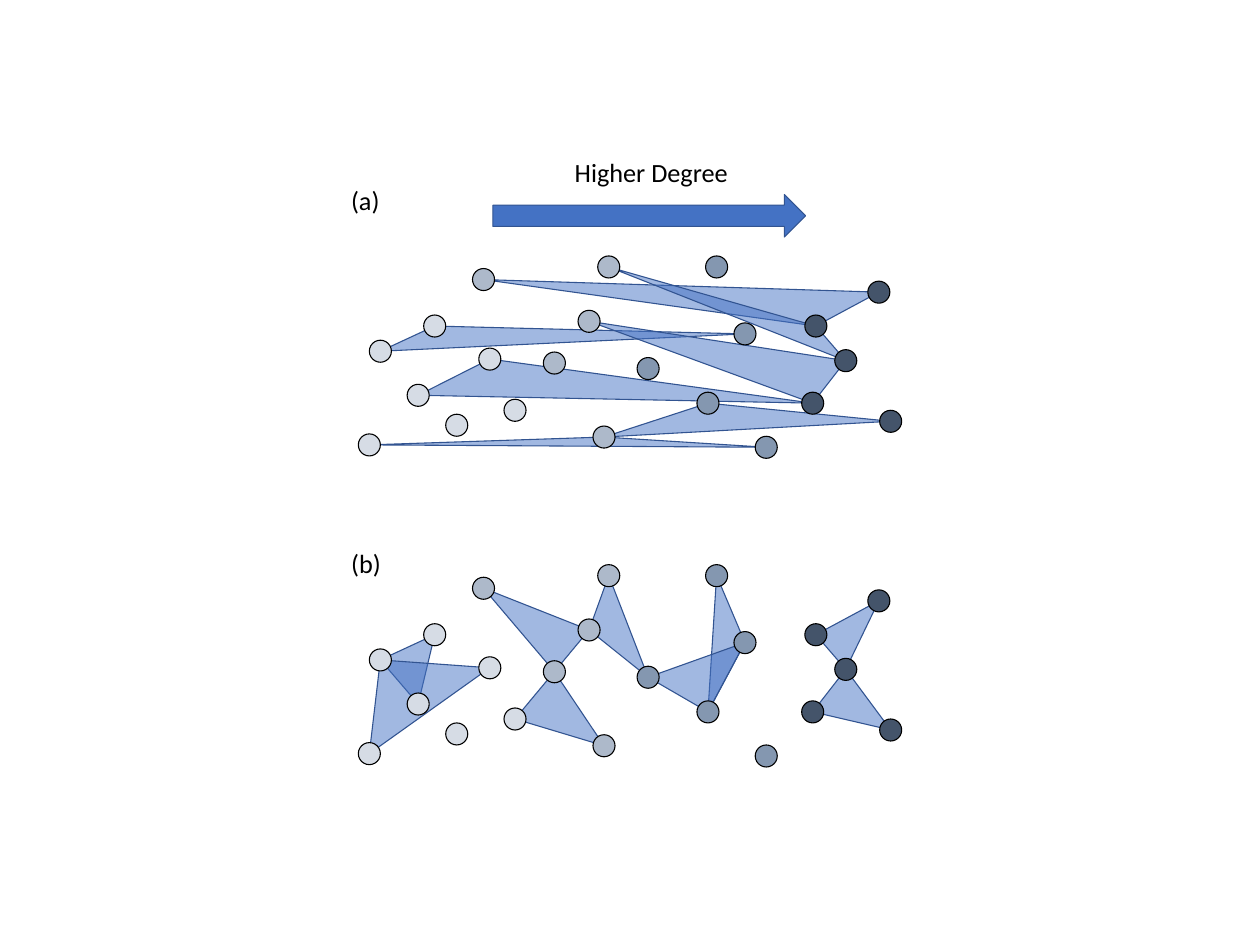
import pptx
import pptx.util
import pptx.dml.color
import pptx.enum.shapes
import pptx.enum.text
import lxml.etree
from dataclasses import dataclass

Inches = pptx.util.Inches
Shape = pptx.enum.shapes.MSO_SHAPE


@dataclass(frozen=True)
class Theme:
    blue: str = "4472C4"
    edge: str = "325491"
    black: str = "000000"
    pale: str = "D6DCE5"
    light: str = "ADB9CA"
    steel: str = "8497B0"
    dark: str = "44546A"
    font: str = "Calibri"
    size: int = 24
    line: int = 1
    alpha: int = 50


THEME = Theme()
NODE_SIZE = 0.28
PANEL_GAP = 3.92

NODES = {
    "A": (7.73, 3.39, THEME.light),
    "B": (6.14, 3.55, THEME.light),
    "C": (5.52, 4.14, THEME.pale),
    "D": (6.22, 4.56, THEME.pale),
    "E": (5.31, 5.02, THEME.pale),
    "F": (7.48, 4.08, THEME.light),
    "G": (5.8, 5.4, THEME.pale),
    "H": (4.69, 5.65, THEME.pale),
    "I": (7.04, 4.61, THEME.light),
    "J": (6.54, 5.21, THEME.pale),
    "K": (4.83, 4.46, THEME.pale),
    "L": (11.16, 3.71, THEME.dark),
    "M": (9.1, 3.39, THEME.steel),
    "N": (9.46, 4.24, THEME.steel),
    "O": (10.74, 4.58, THEME.dark),
    "P": (8.99, 5.12, THEME.steel),
    "Q": (10.36, 4.14, THEME.dark),
    "R": (9.73, 5.68, THEME.steel),
    "S": (7.67, 5.55, THEME.light),
    "T": (11.31, 5.35, THEME.dark),
    "U": (10.32, 5.12, THEME.dark),
    "V": (8.23, 4.68, THEME.steel),
}
MIXED = ["SPT", "BQL", "AOQ", "EUD", "KNC", "HRS", "FUO"]
ALIKE = ["LQO", "MPN", "NVP", "IJS", "KEC", "OUT", "AFV", "BIF", "HKD"]


def color(code):
    return pptx.dml.color.RGBColor.from_string(code)


def apply(item, form):
    for name, value in form.items():
        setattr(item, name, value)


class Sketch:
    def __init__(self, theme, slide):
        self.theme = theme
        self.slide = slide

    def paint(self, shape, fill, edge):
        shape.shadow.inherit = False
        shape.fill.solid()
        shape.fill.fore_color.rgb = color(fill)
        shape.line.color.rgb = color(edge)
        shape.line.width = pptx.util.Pt(self.theme.line)

    def label(self, text, left, top, width):
        box = self.slide.shapes.add_textbox(
            Inches(left), Inches(top), Inches(width), Inches(0.5))
        apply(box.text_frame, {
            "word_wrap": False,
            "auto_size": pptx.enum.text.MSO_AUTO_SIZE.SHAPE_TO_FIT_TEXT,
        })
        run = box.text_frame.paragraphs[0].add_run()
        run.text = text
        apply(run.font, {
            "name": self.theme.font,
            "size": pptx.util.Pt(self.theme.size),
        })
        run.font.color.rgb = color(self.theme.black)

    def arrow(self, left, top, width, height):
        shape = self.slide.shapes.add_shape(
            Shape.RIGHT_ARROW,
            Inches(left), Inches(top), Inches(width), Inches(height))
        self.paint(shape, self.theme.blue, self.theme.edge)

    def face(self, group, points):
        first, *rest = [(Inches(x), Inches(y)) for x, y in points]
        outline = group.shapes.build_freeform(*first)
        outline.add_line_segments(rest, close=True)
        shape = outline.convert_to_shape()
        self.paint(shape, self.theme.blue, self.theme.edge)
        tint = shape.fill._xPr.find(".//" + pptx.oxml.ns.qn("a:srgbClr"))
        alpha = lxml.etree.SubElement(tint, pptx.oxml.ns.qn("a:alpha"))
        alpha.set("val", str(self.theme.alpha * 1000))

    def node(self, group, x, y, fill):
        shape = group.shapes.add_shape(
            Shape.OVAL, Inches(x - NODE_SIZE / 2), Inches(y - NODE_SIZE / 2),
            Inches(NODE_SIZE), Inches(NODE_SIZE))
        self.paint(shape, fill, self.theme.black)

    def panel(self, faces, drop):
        group = self.slide.shapes.add_group_shape()
        spots = {key: (x, y + drop) for key, (x, y, _) in NODES.items()}
        for face in faces:
            self.face(group, [spots[key] for key in face])
        for key, (_, _, fill) in NODES.items():
            self.node(group, *spots[key], fill)


def main():
    deck = pptx.Presentation()
    apply(deck, {"slide_width": Inches(16), "slide_height": Inches(12)})
    sketch = Sketch(THEME, deck.slides.add_slide(deck.slide_layouts[6]))
    sketch.panel(ALIKE, PANEL_GAP)
    sketch.arrow(6.26, 2.47, 3.97, 0.54)
    sketch.label("Higher Degree", 7.2, 1.93, 2.17)
    sketch.panel(MIXED, 0)
    sketch.label("(a)", 4.36, 2.29, 0.57)
    sketch.label("(b)", 4.36, 6.9, 0.58)
    deck.save("out.pptx")


if __name__ == "__main__":
    main()
